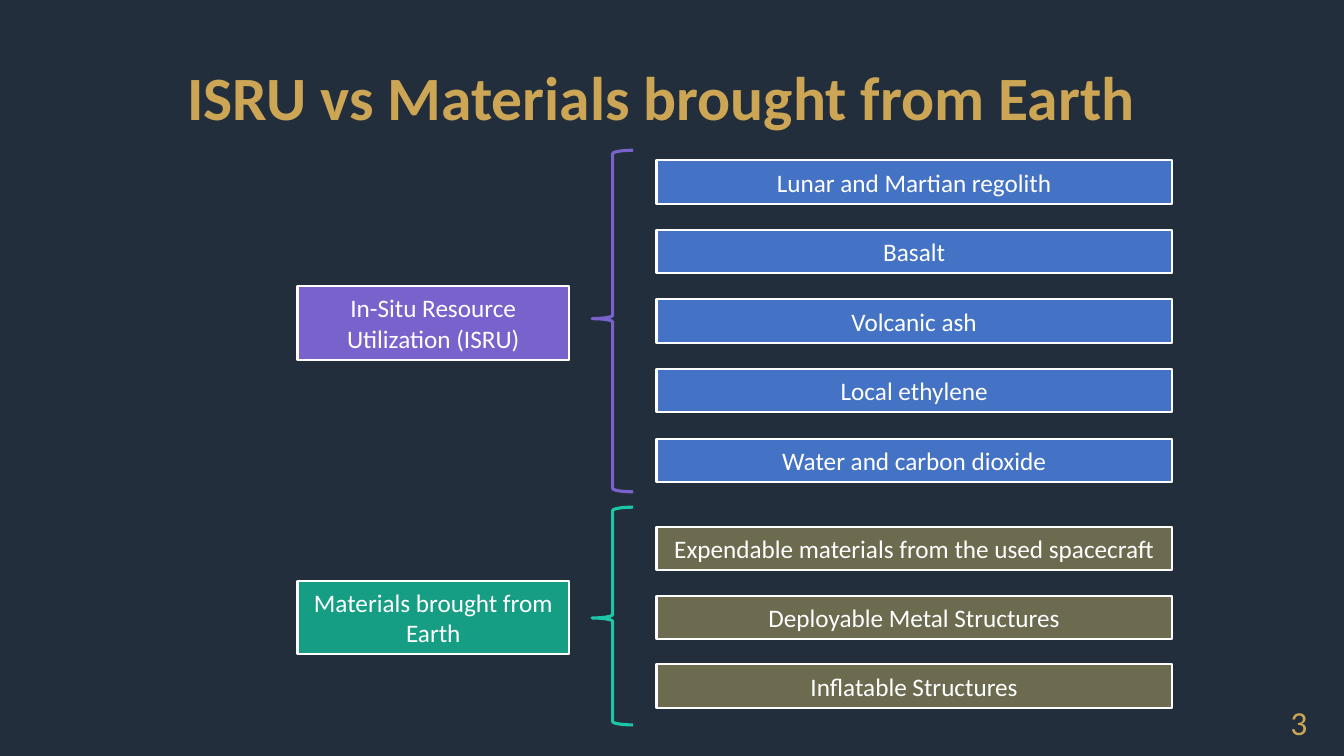
"""Build the slide comparing in-situ resources with materials brought from Earth."""
from pptx import Presentation
from pptx.dml.color import RGBColor
from pptx.enum.shapes import MSO_SHAPE
from pptx.enum.text import MSO_ANCHOR, PP_ALIGN
from pptx.util import Pt

NAVY = RGBColor(0x22, 0x2E, 0x3C)
GOLD = RGBColor(0xCD, 0xA6, 0x55)
WHITE = RGBColor(0xFF, 0xFF, 0xFF)
BLUE = RGBColor(0x44, 0x72, 0xC4)
PURPLE = RGBColor(0x79, 0x62, 0xCC)
OLIVE = RGBColor(0x6C, 0x6B, 0x50)
GREEN = RGBColor(0x16, 0x9E, 0x84)
MINT = RGBColor(0x1B, 0xC7, 0xA6)

TITLE = "ISRU vs Materials brought from Earth"
PAGE_NUMBER = "3"
GROUPS = [
    {
        "label": "In-Situ Resource Utilization (ISRU)",
        "label_top": 204.5, "label_color": PURPLE,
        "brace_top": 107.3, "brace_height": 244, "brace_tip": 0.507, "brace_color": PURPLE,
        "items": ["Lunar and Martian regolith", "Basalt", "Volcanic ash",
                  "Local ethylene", "Water and carbon dioxide"],
        "first_top": 114.5, "pitch": 49.7, "item_color": BLUE,
    },
    {
        "label": "Materials brought from Earth",
        "label_top": 414.9, "label_color": GREEN,
        "brace_top": 362.2, "brace_height": 155.6, "brace_tip": 0.491, "brace_color": MINT,
        "items": ["Expendable materials from the used spacecraft",
                  "Deployable Metal Structures", "Inflatable Structures"],
        "first_top": 376.5, "pitch": 49, "item_color": OLIVE,
    },
]
LABEL_LEFT, LABEL_WIDTH, LABEL_HEIGHT = 212.5, 194, 52.5
BRACE_LEFT, BRACE_WIDTH = 422.9, 29.4
ITEM_LEFT, ITEM_WIDTH, ITEM_HEIGHT = 469, 368, 31


def write(shape, text, size, color, alignment, anchor=MSO_ANCHOR.MIDDLE, bold=False):
    frame = shape.text_frame
    frame.word_wrap = True
    frame.vertical_anchor = anchor
    paragraph = frame.paragraphs[0]
    paragraph.text = text
    paragraph.alignment = alignment
    paragraph.font.name = "Calibri"
    paragraph.font.size = Pt(size)
    paragraph.font.bold = bold
    paragraph.font.color.rgb = color
    return paragraph


def add_text(slide, bounds, *style, **options):
    return write(slide.shapes.add_textbox(*map(Pt, bounds)), *style, **options)


def add_outlined(slide, preset, bounds, line_color, line_width):
    shape = slide.shapes.add_shape(preset, *map(Pt, bounds))
    shape.shadow.inherit = False
    shape.line.color.rgb = line_color
    shape.line.width = Pt(line_width)
    return shape


def add_box(slide, bounds, text, color):
    box = add_outlined(slide, MSO_SHAPE.RECTANGLE, bounds, WHITE, 1.5)
    box.fill.solid()
    box.fill.fore_color.rgb = color
    write(box, text, 18, WHITE, PP_ALIGN.CENTER)


def add_group(slide, group):
    add_box(slide, (LABEL_LEFT, group["label_top"], LABEL_WIDTH, LABEL_HEIGHT),
            group["label"], group["label_color"])
    brace = add_outlined(
        slide, MSO_SHAPE.RIGHT_BRACE,
        (BRACE_LEFT, group["brace_top"], BRACE_WIDTH, group["brace_height"]),
        group["brace_color"], 2.25)
    brace.fill.background()
    brace.rotation = 180
    brace.adjustments[0] = 0.083
    brace.adjustments[1] = group["brace_tip"]
    for index, item in enumerate(group["items"]):
        top = group["first_top"] + index * group["pitch"]
        add_box(slide, (ITEM_LEFT, top, ITEM_WIDTH, ITEM_HEIGHT), item, group["item_color"])


def main():
    presentation = Presentation()
    presentation.slide_width, presentation.slide_height = Pt(960), Pt(540)
    slide = presentation.slides.add_slide(presentation.slide_layouts[6])
    slide.background.fill.solid()
    slide.background.fill.fore_color.rgb = NAVY
    title = add_text(slide, (126.7, 28.8, 766.8, 85.7), TITLE, 44, GOLD, PP_ALIGN.LEFT, bold=True)
    title.line_spacing = 0.9
    add_text(slide, (725, 498.2, 216, 28.8), PAGE_NUMBER, 24, GOLD, PP_ALIGN.RIGHT,
             anchor=MSO_ANCHOR.TOP)
    for group in GROUPS:
        add_group(slide, group)
    presentation.save("out.pptx")


if __name__ == "__main__":
    main()
